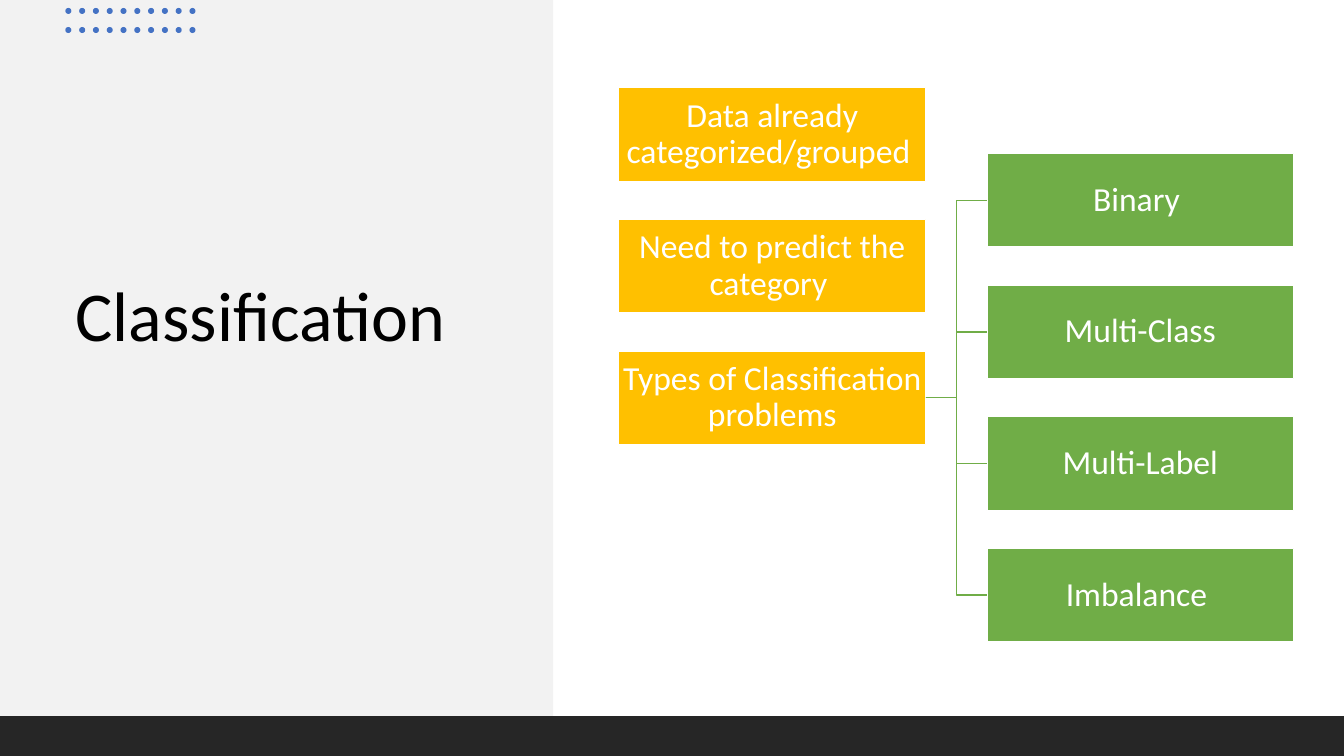
"""Build the Classification slide: a title panel beside a tree of problem types."""
from dataclasses import dataclass

import lxml.etree
import pptx
import pptx.dml.color
import pptx.enum.shapes
import pptx.enum.text
import pptx.oxml.ns
import pptx.shapes.autoshape
import pptx.shapes.connector
import pptx.slide
import pptx.text.text
import pptx.util

Pt = pptx.util.Pt
RGBColor = pptx.dml.color.RGBColor
Preset = pptx.enum.shapes.MSO_SHAPE
Align = pptx.enum.text.PP_ALIGN

BLACK = RGBColor(0x00, 0x00, 0x00)
WHITE = RGBColor(0xFF, 0xFF, 0xFF)
PALE_GREY = RGBColor(0xF2, 0xF2, 0xF2)
CHARCOAL = RGBColor(0x26, 0x26, 0x26)
BLUE = RGBColor(0x44, 0x72, 0xC4)
AMBER = RGBColor(0xFF, 0xC0, 0x00)
GREEN = RGBColor(0x70, 0xAD, 0x47)

SLIDE_WIDTH, SLIDE_HEIGHT = 960, 540
PANEL_WIDTH, FLOOR_TOP = 395.2, 511.6
BOX_WIDTH, BOX_HEIGHT, BOX_STEP = 219.2, 67, 94
DOT_LEFT, DOT_TOP, DOT_SIZE = 46.7, 5.7, 4.3
DOT_COLUMNS, DOT_ROWS = 10, 2
DOT_STEP_X, DOT_STEP_Y = 9.85, 13.6

TITLE_FRAME = {
    "auto_size": pptx.enum.text.MSO_AUTO_SIZE.NONE,
    "vertical_anchor": pptx.enum.text.MSO_ANCHOR.MIDDLE,
    "word_wrap": True,
    "margin_left": Pt(7.2),
    "margin_right": Pt(7.2),
    "margin_top": Pt(3.6),
    "margin_bottom": Pt(58.6),
}
BOX_FRAME = {
    "vertical_anchor": pptx.enum.text.MSO_ANCHOR.MIDDLE,
    "word_wrap": True,
    "margin_left": Pt(1.2),
    "margin_right": Pt(1.2),
    "margin_top": Pt(1.2),
    "margin_bottom": Pt(1.2),
}


@dataclass(frozen=True)
class Area:
    left: float
    top: float
    width: float
    height: float

    def lengths(self) -> list[pptx.util.Length]:
        return [Pt(value) for value in (self.left, self.top, self.width, self.height)]


@dataclass(frozen=True)
class Column:
    left: float
    top: float
    color: RGBColor
    labels: tuple[str, ...]


FACTS = Column(442, 62.6, AMBER, (
    "Data already categorized/grouped ",
    "Need to predict the category ",
    "Types of Classification problems",
))
TYPES = Column(704.9, FACTS.top + BOX_STEP / 2, GREEN, (
    "Binary ", "Multi-Class", "Multi-Label", "Imbalance ",
))


def write(frame: pptx.text.text.TextFrame, text: str, size: float, color: RGBColor,
          align: Align, layout: dict[str, object]) -> None:
    frame.text = text
    for name, value in layout.items():
        setattr(frame, name, value)
    paragraph = frame.paragraphs[0]
    paragraph.alignment = align
    paragraph.line_spacing = 0.9
    font = paragraph.runs[0].font
    for name, value in {"name": "Calibri", "size": Pt(size), "bold": False}.items():
        setattr(font, name, value)
    font.color.rgb = color


def draw_shape(slide: pptx.slide.Slide, preset: Preset, area: Area,
               fill: RGBColor) -> pptx.shapes.autoshape.Shape:
    shape = slide.shapes.add_shape(preset, *area.lengths())
    shape.shadow.inherit = False
    shape.fill.solid()
    shape.fill.fore_color.rgb = fill
    shape.line.fill.background()
    return shape


def draw_column(slide: pptx.slide.Slide,
                column: Column) -> list[pptx.shapes.autoshape.Shape]:
    boxes = []
    for row, label in enumerate(column.labels):
        area = Area(column.left, column.top + row * BOX_STEP, BOX_WIDTH, BOX_HEIGHT)
        box = draw_shape(slide, Preset.RECTANGLE, area, column.color)
        box.line.color.rgb = WHITE
        box.line.width = Pt(1)
        write(box.text_frame, label, 24, WHITE, Align.CENTER, BOX_FRAME)
        boxes.append(box)
    return boxes


def draw_branch(slide: pptx.slide.Slide, parent: pptx.shapes.autoshape.Shape,
                child: pptx.shapes.autoshape.Shape) -> None:
    branch = slide.shapes.add_connector(
        pptx.enum.shapes.MSO_CONNECTOR.ELBOW,
        parent.left + parent.width, parent.top + parent.height // 2,
        child.left, child.top + child.height // 2)
    branch.begin_connect(parent, 3)
    branch.end_connect(child, 1)
    branch.line.color.rgb = GREEN
    branch.line.width = Pt(1)
    lxml.etree.SubElement(branch.element.spPr, pptx.oxml.ns.qn("a:effectLst"))


def draw_title(slide: pptx.slide.Slide, panel: pptx.shapes.autoshape.Shape) -> None:
    title = slide.shapes.title
    area = Area(46.8, 95, 305.3, 320.4)
    for name, value in zip(("left", "top", "width", "height"), area.lengths()):
        setattr(title, name, value)
    write(title.text_frame, "Classification", 50, BLACK, Align.LEFT, TITLE_FRAME)
    panel.element.addnext(title.element)


def draw_dots(slide: pptx.slide.Slide) -> None:
    for column in range(DOT_COLUMNS):
        for row in range(DOT_ROWS):
            area = Area(DOT_LEFT + column * DOT_STEP_X, DOT_TOP + row * DOT_STEP_Y,
                        DOT_SIZE, DOT_SIZE)
            draw_shape(slide, Preset.OVAL, area, BLUE)


def main() -> None:
    deck = pptx.Presentation()
    deck.slide_width, deck.slide_height = Pt(SLIDE_WIDTH), Pt(SLIDE_HEIGHT)
    slide = deck.slides.add_slide(deck.slide_layouts.get_by_name("Title Only"))
    panel = draw_shape(slide, Preset.RECTANGLE, Area(0, 0, PANEL_WIDTH, FLOOR_TOP),
                       PALE_GREY)
    draw_title(slide, panel)
    draw_dots(slide)
    draw_shape(slide, Preset.RECTANGLE,
               Area(0, FLOOR_TOP, SLIDE_WIDTH, SLIDE_HEIGHT - FLOOR_TOP), CHARCOAL)
    problem_types = draw_column(slide, FACTS)[-1]
    for problem_type in draw_column(slide, TYPES):
        draw_branch(slide, problem_types, problem_type)
    deck.save("out.pptx")


if __name__ == "__main__":
    main()
